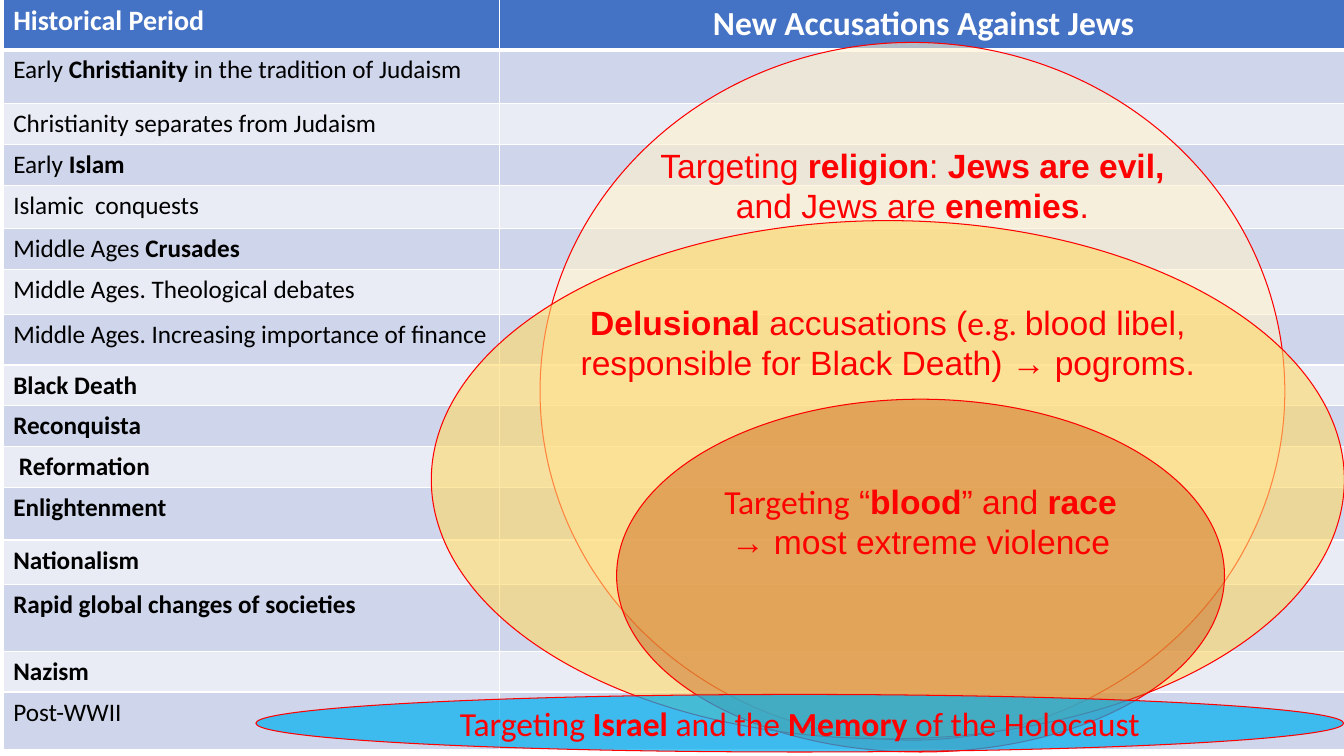
from lxml.etree import SubElement
from pptx import Presentation
from pptx.dml.color import RGBColor
from pptx.enum.shapes import MSO_SHAPE
from pptx.enum.text import MSO_ANCHOR, PP_ALIGN
from pptx.oxml import parse_xml
from pptx.oxml.ns import nsdecls, qn
from pptx.util import Cm, Pt

# Content: ** switches bold on and off
COLORS = {
    "header": "4472C4", "odd": "CFD5EA", "even": "E9EBF5",
    "white": "FFFFFF", "black": "000000", "red": "FF0000",
    "religion": "FFF2CC", "delusion": "FFD966", "race": "C55A11", "israel": "00B0F0",
}
HEADERS = [("**Historical Period**", 20, PP_ALIGN.LEFT),
           ("**New Accusations Against Jews**", 24, PP_ALIGN.CENTER)]
HEADER_HEIGHT = 0.91
PERIODS = [  # text, row height in cm
    ("Early **Christianity** in the tradition of Judaism", 1.35),
    ("Christianity separates from Judaism", 0.81),
    ("Early **Islam**", 0.79),
    ("Islamic  conquests", 1.09),
    ("Middle Ages **Crusades**", 0.79),
    ("Middle Ages. Theological debates", 1.14),
    ("Middle Ages. Increasing importance of finance", 1.27),
    ("**Black Death**", 0.79),
    ("**Reconquista**", 0.89),
    (" **Reformation**", 0.91),
    ("**Enlightenment**", 1.32),
    ("**Nationalism**", 1.12),
    ("**Rapid global changes of societies**", 1.68),
    ("**Nazism**", 1.02),
    ("Post-WWII", 1.45),
]
TABLE_BOX = (0.08, -0.03, 33.86, 19.1)
COLUMN_WIDTHS = (12.5, 21.39)
ACCUSATIONS = [  # color, opacity %, box, insets (left, top, right, bottom), anchor, spans by font
    ("religion", 59, (13.61, 1.07, 18.77, 17.58), (0, 0, 0, 0.13), MSO_ANCHOR.TOP,
     [("Arial", "Targeting **religion**: **Jews are evil,** and Jews are **enemies**.")]),
    ("delusion", 60, (10.87, 5.56, 23.01, 13.06), (0.25, 0.13, 0.25, 0.13), MSO_ANCHOR.TOP,
     [("Arial", "**Delusional** accusations ("), ("Calibri", "e.g. "),
      ("Arial", "blood libel, responsible for Black Death) → pogroms.")]),
    ("race", 44, (15.54, 10.06, 15.32, 8.89), (0.25, 0.76, 0.25, 0.13), MSO_ANCHOR.TOP,
     [("Calibri", "Targeting"),
      ("Arial", " “**blood**” and **race **→ most extreme violence")]),
    ("israel", 70, (6.45, 17.5, 27.41, 1.45), (0.25, 0, 0.25, 0), MSO_ANCHOR.MIDDLE,
     [("Calibri", "Targeting **Israel** and the **Memory** of the Holocaust")]),
]


def color(name):
    return RGBColor.from_string(COLORS[name])


def write(para, text, font="Calibri", size=18, fill="black", align=PP_ALIGN.LEFT):
    para.alignment = align
    for index, part in enumerate(text.split("**")):
        if part:
            span = para.add_run()
            span.text = part
            span.font.name = font
            span.font.size = Pt(size)
            span.font.bold = index % 2 == 1
            span.font.color.rgb = color(fill)


def style_cell(cell, fill, bottom=1):
    cell.fill.solid()
    cell.fill.fore_color.rgb = color(fill)
    properties = cell._tc.get_or_add_tcPr()
    for index, (side, points) in enumerate([("L", 1), ("R", 1), ("T", 1), ("B", bottom)]):
        properties.insert(index, parse_xml(
            f'<a:ln{side} {nsdecls("a")} w="{Pt(points)}"><a:solidFill>'
            f'<a:srgbClr val="{COLORS["white"]}"/></a:solidFill></a:ln{side}>'))


deck = Presentation()
deck.slide_width, deck.slide_height = Cm(33.87), Cm(19.05)
page = deck.slides.add_slide(deck.slide_layouts[6])

# Table of periods
left, top, width, height = map(Cm, TABLE_BOX)
frame = page.shapes.add_table(len(PERIODS) + 1, 2, left, top, width, height)
table = frame.table
for column, column_width in zip(table.columns, COLUMN_WIDTHS):
    column.width = Cm(column_width)

table.rows[0].height = Cm(HEADER_HEIGHT)
for cell, (text, size, align) in zip(table.rows[0].cells, HEADERS):
    style_cell(cell, "header", bottom=3)
    write(cell.text_frame.paragraphs[0], text, size=size, fill="white", align=align)

for number, (text, row_height) in enumerate(PERIODS, start=1):
    row = table.rows[number]
    row.height = Cm(row_height)
    for cell in row.cells:
        style_cell(cell, "odd" if number % 2 else "even")
    write(row.cells[0].text_frame.paragraphs[0], text)
frame.width, frame.height = width, height

# Overlapping ellipses of accusations
for name, opacity, box, insets, anchor, spans in ACCUSATIONS:
    ellipse = page.shapes.add_shape(MSO_SHAPE.OVAL, *map(Cm, box))
    ellipse.shadow.inherit = False
    ellipse.fill.solid()
    ellipse.fill.fore_color.rgb = color(name)
    tint = ellipse._element.spPr.find(qn("a:solidFill")).find(qn("a:srgbClr"))
    SubElement(tint, qn("a:alpha")).set("val", str(opacity * 1000))
    ellipse.line.color.rgb = color("red")
    ellipse.line.width = Pt(0.75)
    body = ellipse.text_frame
    body.word_wrap = True
    body.vertical_anchor = anchor
    body.margin_left, body.margin_top, body.margin_right, body.margin_bottom = map(Cm, insets)
    for font, text in spans:
        write(body.paragraphs[0], text, font=font, size=24, fill="red", align=PP_ALIGN.CENTER)

deck.save("out.pptx")
